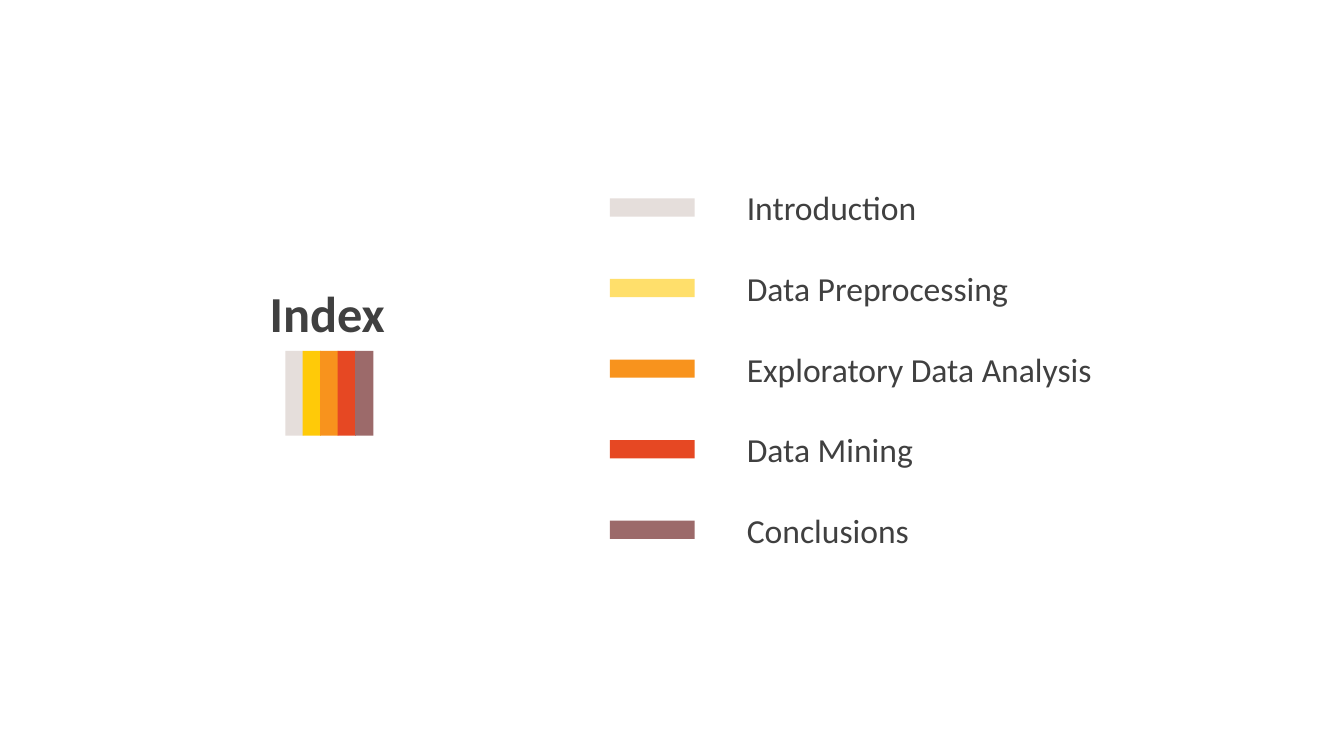
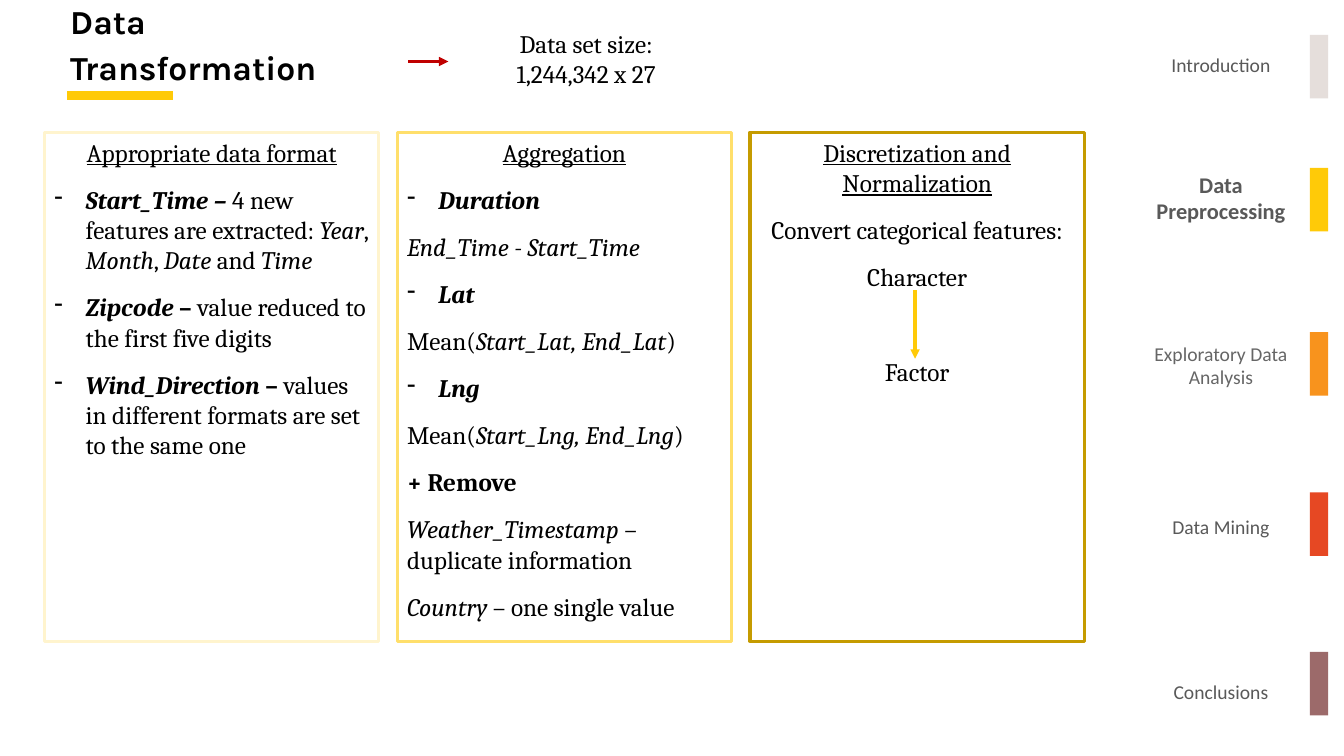
from lxml.etree import SubElement
from pptx import Presentation
from pptx.dml.color import RGBColor
from pptx.enum.shapes import MSO_CONNECTOR as Connector, MSO_SHAPE as Shape
from pptx.enum.text import MSO_ANCHOR as Anchor, MSO_AUTO_SIZE as AutoSize, PP_ALIGN as Align
from pptx.oxml.ns import qn
from pptx.util import Cm, Pt

SANS, SERIF, HEADING = "Calibri", "Cambria", "Karla"
BLACK, DARK, GREY, LIGHT_GREY = "000000", "404040", "595959", "666666"
YELLOW, PALE_YELLOW, RED = "FFCA08", "FFDF6B", "C00000"
BAR_LONG, BAR_SHORT = 2.14, 0.46
TITLE_ONLY = 5

# name, colour, sidebar bar centre, sidebar label centre (cm)
SECTIONS = [
    ("Introduction", "E5DEDB", 1.68, 1.64),
    ("Data Preprocessing", YELLOW, 5.03, 4.98),
    ("Exploratory Data Analysis", "F8931D", 9.17, 9.2),
    ("Data Mining", "E64823", 13.21, 13.28),
    ("Conclusions", "9C6A6A", 17.23, 17.44),
]
CURRENT = "Data Preprocessing"
INDEX_COLORS = {CURRENT: PALE_YELLOW}
LABEL_COLORS = {"Exploratory Data Analysis": LIGHT_GREY}

# Each card: outline, then paragraphs of (kind, runs); each run: (text, style),
# where the style letters are b(old), i(talic) and u(nderlined).
CARDS = [
    ("FFF4CE", [
        ("center", [("Appropriate data format", "u")]),
        ("bullet", [("Start_Time – ", "bi"), ("4 new features are extracted: ", ""),
                    ("Year", "i"), (", ", ""), ("Month", "i"), (", ", ""),
                    ("Date", "i"), (" and ", ""), ("Time", "i")]),
        ("bullet", [("Zipcode", "bi"), (" – ", "b"),
                    ("value reduced to the first five digits", "")]),
        ("bullet", [("Wind_Direction ", "bi"), ("– ", "b"),
                    ("values in different formats are set to the same one", "")]),
    ]),
    (PALE_YELLOW, [
        ("center", [("Aggregation", "u")]),
        ("bullet", [("Duration", "bi")]),
        ("left", [("End_Time - Start_Time", "i")]),
        ("bullet", [("Lat", "bi")]),
        ("left", [("Mean(", ""), ("Start_Lat, End_Lat", "i"), (")", "")]),
        ("bullet", [("Lng", "bi")]),
        ("left", [("Mean(", ""), ("Start_Lng, End_Lng", "i"), (")", "")]),
        ("left", [("+ Remove", "b")]),
        ("left", [("Weather_Timestamp ", "i"), ("– duplicate information", "")]),
        ("left", [("Country", "i"), (" – one single value", "")]),
    ]),
    ("C59B00", [
        ("center", [("Discretization and Normalization", "u")]),
        ("center", [("Convert categorical features:", "")]),
        ("center", [("Character", "")]),
        ("below arrow", [("Factor", "")]),
    ]),
]


def rgb(value):
    return RGBColor.from_string(value)


def style_font(font, name, size, color, bold=False):
    font.name, font.size, font.bold = name, Pt(size), bold
    font.color.rgb = rgb(color)


def add_rect(page, left, top, width, height, fill=None, outline=None):
    rect = page.shapes.add_shape(Shape.RECTANGLE, Cm(left), Cm(top), Cm(width), Cm(height))
    rect.shadow.inherit = False
    if fill:
        rect.fill.solid()
        rect.fill.fore_color.rgb = rgb(fill)
    else:
        rect.fill.background()
    if outline:
        rect.line.color.rgb = rgb(outline)
        rect.line.width = Pt(2.25)
    else:
        rect.line.fill.background()
    return rect


def add_line(page, start, end, color, width=2.25, arrow=True):
    line = page.shapes.add_connector(Connector.STRAIGHT, *map(Cm, start + end))
    line.line.color.rgb = rgb(color)
    line.line.width = Pt(width)
    if arrow:
        SubElement(line.line._get_or_add_ln(), qn("a:tailEnd"), type="triangle")
    SubElement(line._element.spPr, qn("a:effectLst"))


def write(box, text, name, size, color, bold=False, align=Align.LEFT, anchor=Anchor.MIDDLE):
    frame = box.text_frame
    frame.word_wrap = True
    frame.auto_size = AutoSize.NONE
    frame.vertical_anchor = anchor
    frame.text = text
    for para in frame.paragraphs:
        para.alignment = align
        for span in para.runs:
            style_font(span.font, name, size, color, bold)


def add_label(page, left, middle, width, height, text, *style, **options):
    box = page.shapes.add_textbox(Cm(left), Cm(middle - height / 2), Cm(width), Cm(height))
    write(box, text, *style, **options)


def set_title(page, area, text, *style, **options):
    title = page.shapes.title
    title.left, title.top, title.width, title.height = map(Cm, area)
    write(title, text, *style, bold=True, **options)
    frame = title.text_frame
    frame.margin_left = frame.margin_right = frame.margin_top = frame.margin_bottom = Cm(0.25)
    return title


def add_card(page, left, outline, paragraphs):
    card = add_rect(page, left, 3.33, 8.43, 12.83, outline=outline)
    frame = card.text_frame
    frame.word_wrap = True
    frame.vertical_anchor = Anchor.TOP
    for number, (kind, runs) in enumerate(paragraphs):
        para = frame.add_paragraph() if number else frame.paragraphs[0]
        para.alignment = Align.CENTER if kind in ("center", "below arrow") else Align.LEFT
        para.space_before = Pt(40 if kind == "below arrow" else 6 if number else 0)
        para.space_after = Pt(6)
        if kind == "bullet":
            props = para._p.get_or_add_pPr()
            props.set("marL", str(Cm(0.79)))
            props.set("indent", str(-Cm(0.79)))
            SubElement(props, qn("a:buChar"), char="-")
        for text, style in runs:
            span = para.add_run()
            span.text = text
            style_font(span.font, SERIF, 18, BLACK, "b" in style)
            span.font.italic = "i" in style
            span.font.underline = "u" in style


def add_sidebar(page, current):
    for name, color, bar_middle, label_middle in SECTIONS:
        add_rect(page, 33.01, bar_middle - 0.8, BAR_SHORT, 1.6, color)
        active = name == current
        add_label(page, 28.8, label_middle, 3.94, 1.6, name, SANS, 16 if active else 14,
                  LABEL_COLORS.get(name, GREY), bold=active, align=Align.CENTER)


def build_index(page):
    set_title(page, (5.33, 5.79, 5.84, 4.14), "Index", SANS, 36, DARK, align=Align.CENTER)
    for number, (name, color, *_) in enumerate(SECTIONS):
        middle = 5.23 + number * 2.03
        add_rect(page, 15.37, middle - BAR_SHORT / 2, BAR_LONG, BAR_SHORT,
                 INDEX_COLORS.get(name, color))
        add_label(page, 18.57, middle, 12, 1.3, name, SANS, 24, DARK)
        add_rect(page, 7.19 + number * 0.44, 8.84, BAR_SHORT, BAR_LONG, color)


def build_transformation(page):
    add_sidebar(page, CURRENT)
    title = set_title(page, (1.52, 0.86, 8.48, 1.6), "Data Transformation",
                      HEADING, 24, BLACK, anchor=Anchor.BOTTOM)
    title.text_frame.paragraphs[0].line_spacing = 1.15
    add_line(page, (1.7, 2.41), (4.37, 2.41), YELLOW, width=6, arrow=False)
    for number, (outline, paragraphs) in enumerate(CARDS):
        add_card(page, 1.12 + number * 8.89, outline, paragraphs)
    add_line(page, (23.06, 7.32), (23.06, 9.04), YELLOW)
    add_label(page, 12.45, 1.48, 4.65, 1.8, "Data set size:\n1,244,342 x 27",
              SERIF, 18, BLACK, align=Align.CENTER)
    add_line(page, (10.29, 1.55), (11.3, 1.55), RED)


def main():
    deck = Presentation()
    deck.slide_width, deck.slide_height = Cm(33.87), Cm(19.05)
    for build in (build_index, build_transformation):
        build(deck.slides.add_slide(deck.slide_layouts[TITLE_ONLY]))
    deck.save("out.pptx")


if __name__ == "__main__":
    main()
